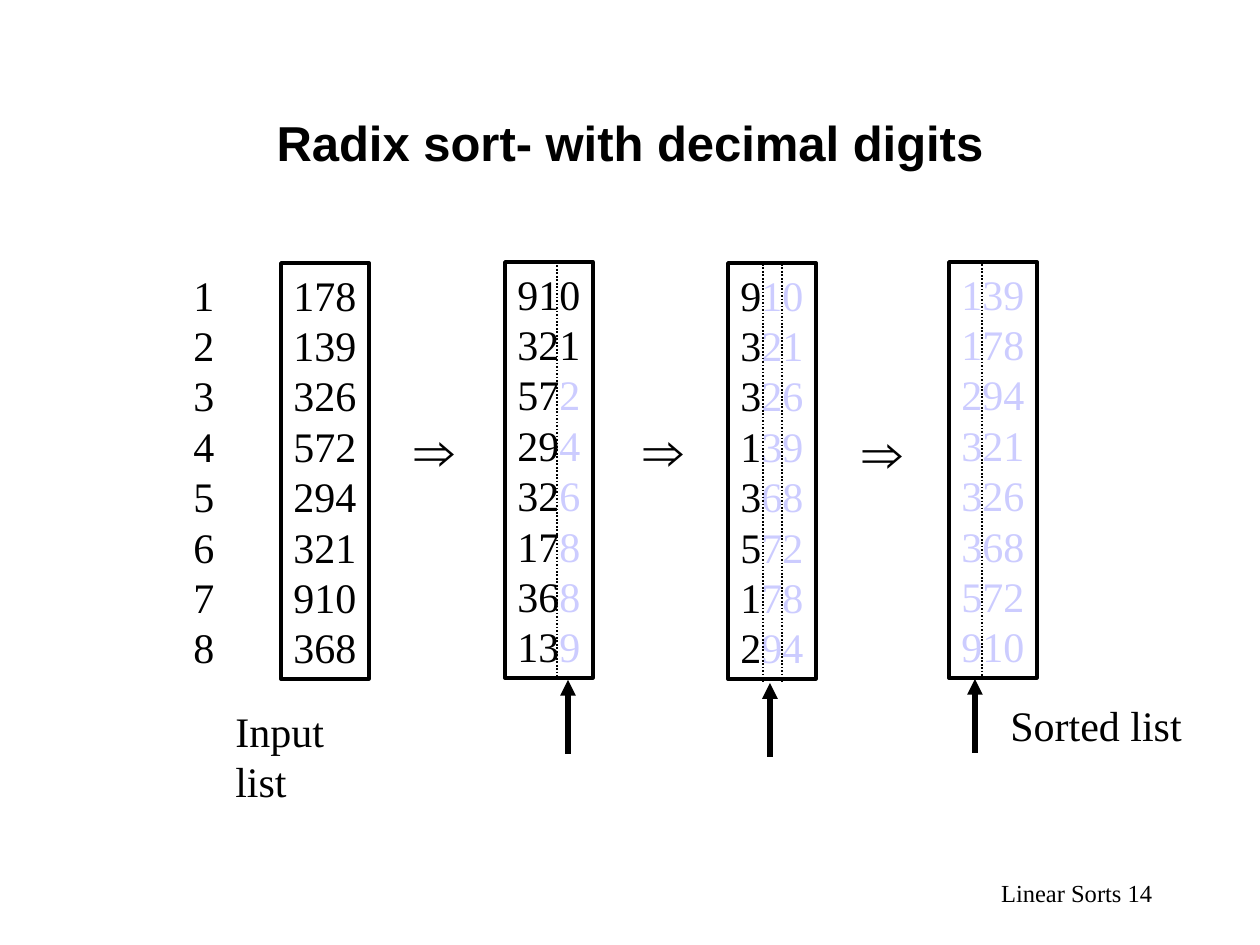
import pptx
import pptx.dml.color
import pptx.enum.dml
import pptx.enum.shapes
import pptx.enum.text
import pptx.oxml.ns
import pptx.util
from lxml import etree

PX_PER_INCH = 126
BLACK, FADED = "000000", "CCCCFF"
SERIF, SANS = "Times New Roman", "Arial"
BOX_WIDTH, BOX_HEIGHT = 88, 416
ALIGN = pptx.enum.text.PP_ALIGN
ANCHOR = pptx.enum.text.MSO_ANCHOR
AUTO_SIZE = pptx.enum.text.MSO_AUTO_SIZE

INPUT_LIST = ["178", "139", "326", "572", "294", "321", "910", "368"]
# left, top, digit sorted on, leading rows left black, divider xs, divider y, arrow x, arrow y
PASSES = [
    (505, 262, 2, 2, [557], 262, 568, 680),
    (728, 263, 1, 0, [763, 782], 264, 770, 683),
    (949, 262, 0, 0, [982], 261, 975, 679),
]
STEP_SIGNS = [(402, 409), (631, 409), (850, 411)]


def px(length):
    return pptx.util.Emu(round(length * 914400 / PX_PER_INCH))


def rgb(hex_string):
    return pptx.dml.color.RGBColor.from_string(hex_string)


def set_values(target, values):
    for name, value in values.items():
        setattr(target, name, value)


def write_text(shape, rows, size=24, font=SERIF, bold=False, align=ALIGN.LEFT, **frame_values):
    """Fill a shape with rows, each a list of (text, colour) runs."""
    frame = shape.text_frame
    frame_format = {
        "word_wrap": False,
        "vertical_anchor": ANCHOR.TOP,
        "auto_size": AUTO_SIZE.SHAPE_TO_FIT_TEXT,
    }
    set_values(frame, {**frame_format, **frame_values})
    for index, row in enumerate(rows):
        paragraph = frame.add_paragraph() if index else frame.paragraphs[0]
        paragraph.alignment = align
        for text, colour in row:
            run = paragraph.add_run()
            run.text = text
            set_values(run.font, {"name": font, "size": pptx.util.Pt(size), "bold": bold})
            run.font.color.rgb = rgb(colour)


def add_text(slide, box, lines, **text_format):
    shape = slide.shapes.add_textbox(*map(px, box))
    write_text(shape, [[(line, BLACK)] for line in lines], **text_format)


def add_list_box(slide, left, top, rows):
    kind = pptx.enum.shapes.MSO_SHAPE.RECTANGLE
    shape = slide.shapes.add_shape(kind, *map(px, (left, top, BOX_WIDTH, BOX_HEIGHT)))
    shape.shadow.inherit = False
    shape.fill.background()
    shape.line.color.rgb = rgb(BLACK)
    shape.line.width = pptx.util.Pt(2)
    write_text(shape, rows)


def add_vertical_line(slide, x, top, height, width):
    kind = pptx.enum.shapes.MSO_CONNECTOR.STRAIGHT
    line = slide.shapes.add_connector(kind, px(x), px(top), px(x), px(top + height))
    line.line.color.rgb = rgb(BLACK)
    line.line.width = pptx.util.Pt(width)
    etree.SubElement(line._element.spPr, pptx.oxml.ns.qn("a:effectLst"))
    return line


def add_up_arrow(slide, x, top):
    arrow = add_vertical_line(slide, x, top, 74, 3)
    outline = arrow.line._get_or_add_ln()
    etree.SubElement(outline, pptx.oxml.ns.qn("a:headEnd"), type="triangle")


def add_divider(slide, x, top):
    divider = add_vertical_line(slide, x, top, 420, 1)
    divider.line.dash_style = pptx.enum.dml.MSO_LINE.ROUND_DOT


def split_rows(numbers, digit, black_rows):
    """Fade each number from the sorted digit on, after the black rows."""
    rows = []
    for index, number in enumerate(numbers):
        cut = len(number) if index < black_rows else digit
        runs = [(number[:cut], BLACK), (number[cut:], FADED)]
        rows.append([run for run in runs if run[0]])
    return rows


def add_sorting_passes(slide):
    numbers = INPUT_LIST
    for left, top, digit, black_rows, *_ in PASSES:
        numbers = sorted(numbers, key=lambda number: number[digit])
        add_list_box(slide, left, top, split_rows(numbers, digit, black_rows))
    for *_, divider_xs, divider_top, arrow_x, arrow_top in PASSES:
        add_up_arrow(slide, arrow_x, arrow_top)
        for x in divider_xs:
            add_divider(slide, x, divider_top)


def main():
    presentation = pptx.Presentation()
    set_values(presentation, {"slide_width": px(1260), "slide_height": px(945)})
    slide = presentation.slides.add_slide(presentation.slide_layouts[6])

    fixed = {"vertical_anchor": ANCHOR.MIDDLE, "auto_size": AUTO_SIZE.NONE}
    add_text(slide, (903, 861, 262, 63), ["Linear Sorts 14"], size=14, align=ALIGN.RIGHT, **fixed)
    add_text(slide, (95, 84, 1070, 116), ["Radix sort- with decimal digits"], size=28,
             font=SANS, bold=True, align=ALIGN.CENTER, word_wrap=True, **fixed)

    add_list_box(slide, 281, 263, [[(number, BLACK)] for number in INPUT_LIST])
    row_numbers = [str(index) for index in range(1, len(INPUT_LIST) + 1)]
    add_text(slide, (181, 263, 47, BOX_HEIGHT), row_numbers)
    add_sorting_passes(slide)

    for left, top in STEP_SIGNS:
        add_text(slide, (left, top, 69, 81), ["⇒"], size=32, font=SANS)
    add_text(slide, (223, 699, 175, 63), ["Input list"])
    add_text(slide, (998, 693, 197, 63), ["Sorted list"])
    presentation.save("out.pptx")


if __name__ == "__main__":
    main()
